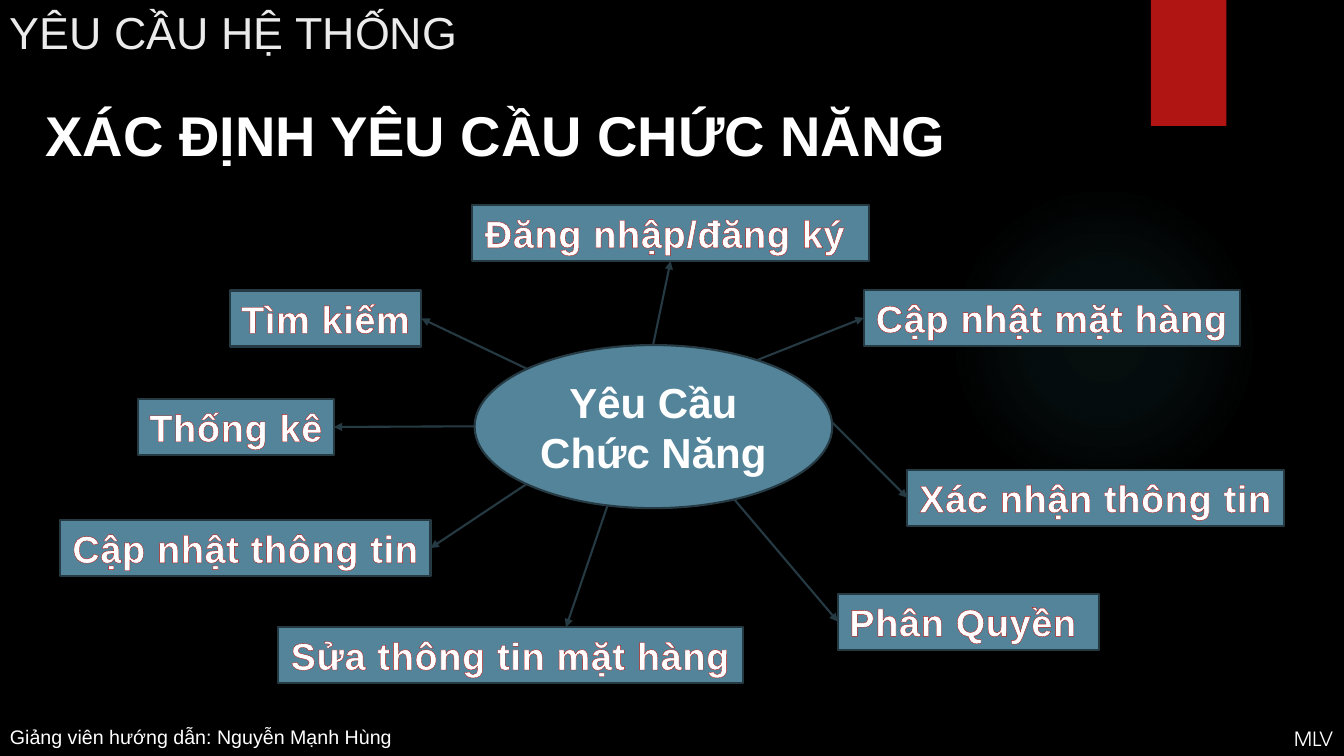
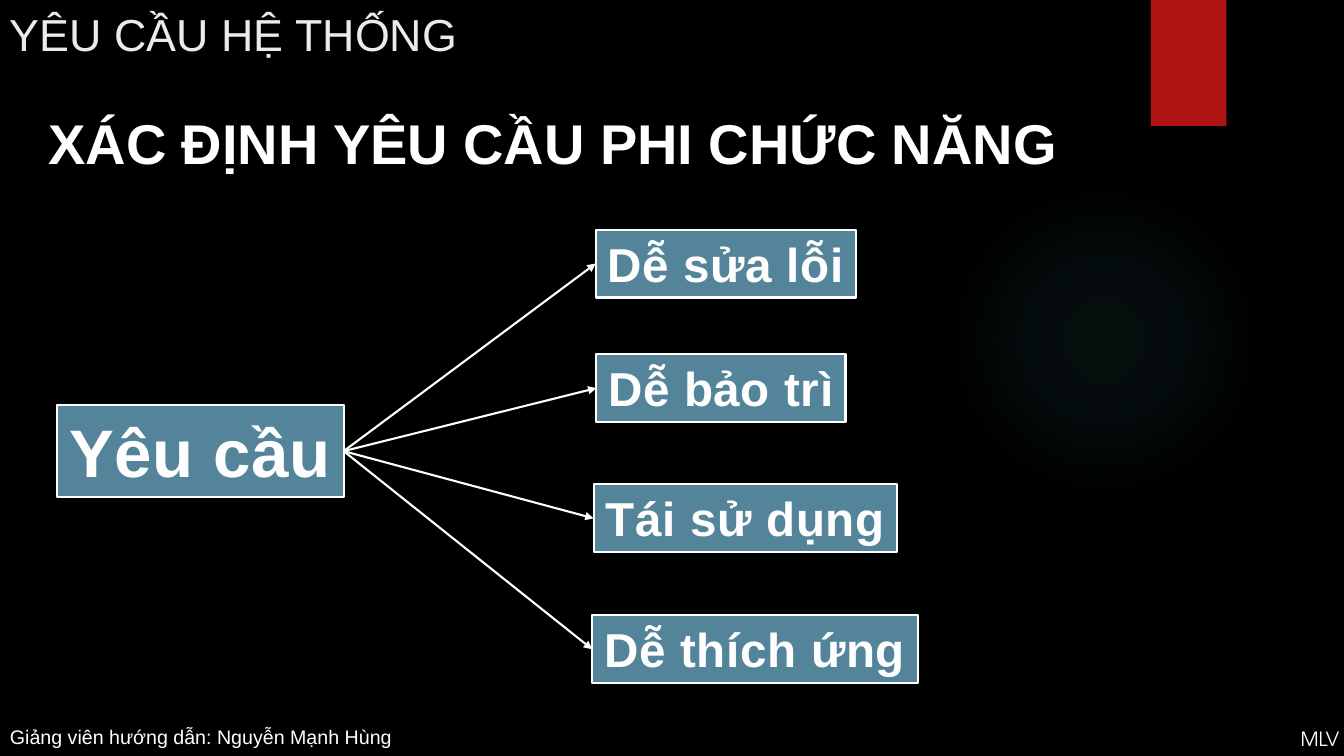
import pptx
import pptx.util
import pptx.oxml
import pptx.oxml.ns
import pptx.dml.color
import pptx.enum.text
import pptx.enum.shapes
from dataclasses import dataclass

Pt = pptx.util.Pt
RGB = pptx.dml.color.RGBColor.from_string
SHAPE = pptx.enum.shapes.MSO_SHAPE
ANCHOR = pptx.enum.text.MSO_ANCHOR
ALIGN = pptx.enum.text.PP_ALIGN
NS = pptx.oxml.ns.nsdecls("a")


@dataclass(frozen=True)
class Theme:
    font: str = "Arial"
    mark_font: str = "TeX Gyre Adventor"
    black: str = "000000"
    white: str = "FFFFFF"
    soft_white: str = "FEFEFE"
    title: str = "EBEBEB"
    red: str = "B01513"
    blue: str = "54849A"
    dark: str = "253A43"
    glow: str = "50B9C1"
    title_size: float = 32
    heading_size: float = 40
    footer_size: float = 14
    center_size: float = 30
    function_size: float = 27
    quality_size: float = 34
    root_size: float = 48
    line: float = 1.5


THEME = Theme()
PAGE_WIDTH, PAGE_HEIGHT = 960, 540
TITLE = "YÊU CẦU HỆ THỐNG"
FOOTER = "Giảng viên hướng dẫn: Nguyễn Mạnh Hùng"
MARK = "MLV"

# Anchors are fractions of a box's width and height
TOP, LEFT, BOTTOM, RIGHT = (0.5, 0), (0, 0.5), (0.5, 1), (1, 0.5)
SITES = {TOP: 0, LEFT: 1, BOTTOM: 2, RIGHT: 3}

FUNCTIONAL = {
    "heading": "XÁC ĐỊNH YÊU CẦU CHỨC NĂNG",
    "heading_at": (25.5, 68.5), "title_top": 0, "mark_left": 924.5,
}
CENTER = ("Yêu Cầu Chức Năng", 339, 246.5, 255.5, 116.5)
FUNCTION_HEIGHT = 40
# text, left, top, width, arrow start, arrow end anchor
FUNCTIONS = [
    ("Đăng nhập/đăng ký ", 337.5, 146.5, 283, (466.5, 246.5), BOTTOM),
    ("Cập nhật mặt hàng", 617, 207, 268.5, (474.5, 283.5), LEFT),
    ("Xác nhận thông tin", 648, 335.5, 269, (556.5, 263.5), LEFT),
    ("Phân Quyền ", 598.5, 424, 186.5, (501, 329), LEFT),
    ("Sửa thông tin mặt hàng", 198.5, 448, 332, (442, 337.5), (0.62, 0)),
    ("Cập nhật thông tin", 43, 371.5, 264.5, (376.5, 345.5), RIGHT),
    ("Thống kê", 98.5, 285, 140, (339, 304.5), RIGHT),
    ("Tìm kiếm", 164, 207.5, 137, (376.5, 263.5), RIGHT),
]

NON_FUNCTIONAL = {
    "heading": "XÁC ĐỊNH YÊU CẦU PHI CHỨC NĂNG",
    "heading_at": (27.5, 74), "title_top": 1.5, "mark_left": 929,
}
ROOT = ("Yêu cầu", 41, 289.5, 204.5, 65.5)
QUALITY_HEIGHT = 48.5
# text, left, top, width
QUALITIES = [
    ("Dễ sửa lỗi", 425.5, 164, 186),
    ("Dễ bảo trì", 426, 253, 178),
    ("Tái sử dụng", 424, 346, 217),
    ("Dễ thích ứng", 423, 439.5, 232.5),
]


def write(shape, text, size, color, font=THEME.font, bold=False):
    para = shape.text_frame.paragraphs[0]
    span = para.add_run()
    span.text = text
    para.font.name, para.font.size, para.font.bold = font, Pt(size), bold
    para.font.color.rgb = RGB(color)
    return span


def add_label(page, text, left, top, width, height, size, color, **style):
    box = page.shapes.add_textbox(Pt(left), Pt(top), Pt(width), Pt(height))
    box.text_frame.word_wrap = False
    write(box, text, size, color, **style)
    return box


def add_mark(page, left):
    """Put the corner mark in the space left before the page edge."""
    mark = add_label(page, MARK, left, 515.5, PAGE_WIDTH - left, 24,
                     THEME.footer_size, THEME.white, font=THEME.mark_font)
    mark.text_frame.margin_left = mark.text_frame.margin_right = 0


def add_figure(page, kind, left, top, width, height, fill, line=None):
    shape = page.shapes.add_shape(kind, Pt(left), Pt(top), Pt(width), Pt(height))
    shape.shadow.inherit = False
    shape.fill.solid()
    shape.fill.fore_color.rgb = RGB(fill)
    if line:
        shape.line.color.rgb = RGB(line)
        shape.line.width = Pt(THEME.line)
    else:
        shape.line.fill.background()
    return shape


def add_glow(page):
    """Draw the faint round light that fades towards its edge."""
    glow = add_figure(page, SHAPE.OVAL, 677.5, 132, 222, 222, THEME.glow)
    stops = "".join(
        f'<a:gs pos="{place * 1000}"><a:srgbClr val="{THEME.glow}">'
        f'<a:alpha val="{alpha * 1000}"/></a:srgbClr></a:gs>'
        for place, alpha in [(0, 7), (36, 6), (69, 0), (100, 0)])
    gradient = pptx.oxml.parse_xml(
        f'<a:gradFill {NS}><a:gsLst>{stops}</a:gsLst><a:path path="circle">'
        '<a:fillToRect l="50000" t="50000" r="50000" b="50000"/></a:path></a:gradFill>')
    properties = glow.element.spPr
    properties.replace(properties.find(pptx.oxml.ns.qn("a:solidFill")), gradient)


def add_box(page, text, left, top, width, height, size, color, line):
    """Draw a blue box with spaced bold letters outlined in red."""
    box = add_figure(page, SHAPE.RECTANGLE, left, top, width, height, THEME.blue, line)
    box.text_frame.word_wrap = False
    box.text_frame.vertical_anchor = ANCHOR.TOP
    span = write(box, text, size, color, bold=True)
    box.text_frame.paragraphs[0].alignment = ALIGN.CENTER
    letters = span.font._element
    letters.set("spc", "50")
    letters.insert(0, pptx.oxml.parse_xml(
        f'<a:ln {NS} w="{Pt(0.75)}"><a:solidFill><a:srgbClr val="{THEME.red}"/>'
        '</a:solidFill></a:ln>'))
    return box


def add_arrow(page, start, box, anchor, color):
    """Draw an arrow from a point to an anchor of a box, glued where it has a site."""
    across, down = anchor
    end_x = int(box.left + across * box.width)
    end_y = int(box.top + down * box.height)
    arrow = page.shapes.add_connector(
        pptx.enum.shapes.MSO_CONNECTOR.STRAIGHT, Pt(start[0]), Pt(start[1]), end_x, end_y)
    if anchor in SITES:
        arrow.end_connect(box, SITES[anchor])
    arrow.line.color.rgb = RGB(color)
    arrow.line.width = Pt(THEME.line)
    arrow.line._get_or_add_ln().append(
        pptx.oxml.parse_xml(f'<a:tailEnd {NS} type="triangle"/>'))
    arrow._element.spPr.append(pptx.oxml.parse_xml(f'<a:effectLst {NS}/>'))
    return arrow


def add_page(deck, content):
    """Add a slide with the shared background, title, heading and footer."""
    page = deck.slides.add_slide(deck.slide_layouts[6])
    page.background.fill.solid()
    page.background.fill.fore_color.rgb = RGB(THEME.black)
    add_glow(page)
    add_figure(page, SHAPE.RECTANGLE, 822, 0, 54, 90, THEME.red)
    add_label(page, content["heading"], *content["heading_at"], 760, 55.5,
              THEME.heading_size, THEME.white, bold=True)
    add_label(page, TITLE, 0, content["title_top"], 832, 76, THEME.title_size, THEME.title)
    add_mark(page, content["mark_left"])
    add_label(page, FOOTER, 0, 514, 289, 24, THEME.footer_size, THEME.white)
    return page


def build_functional(deck):
    page = add_page(deck, FUNCTIONAL)
    boxes = [add_box(page, text, left, top, width, FUNCTION_HEIGHT,
                     THEME.function_size, THEME.white, THEME.dark)
             for text, left, top, width, _, _ in FUNCTIONS]
    for box, (*_, start, anchor) in zip(boxes, FUNCTIONS):
        add_arrow(page, start, box, anchor, THEME.dark)
    text, *place = CENTER
    center = add_figure(page, SHAPE.OVAL, *place, THEME.blue, THEME.dark)
    center.text_frame.word_wrap = True
    write(center, text, THEME.center_size, THEME.white, bold=True)
    center.text_frame.paragraphs[0].alignment = ALIGN.CENTER


def build_non_functional(deck):
    page = add_page(deck, NON_FUNCTIONAL)
    root = add_box(page, *ROOT, THEME.root_size, THEME.soft_white, THEME.white)
    _, left, top, width, height = ROOT
    start = (left + width, top + height / 2)
    for text, left, top, width in QUALITIES:
        box = add_box(page, text, left, top, width, QUALITY_HEIGHT,
                      THEME.quality_size, THEME.soft_white, THEME.white)
        arrow = add_arrow(page, start, box, LEFT, THEME.white)
        arrow.begin_connect(root, SITES[RIGHT])


def main():
    deck = pptx.Presentation()
    deck.slide_width, deck.slide_height = Pt(PAGE_WIDTH), Pt(PAGE_HEIGHT)
    build_functional(deck)
    build_non_functional(deck)
    deck.save("out.pptx")


if __name__ == "__main__":
    main()
